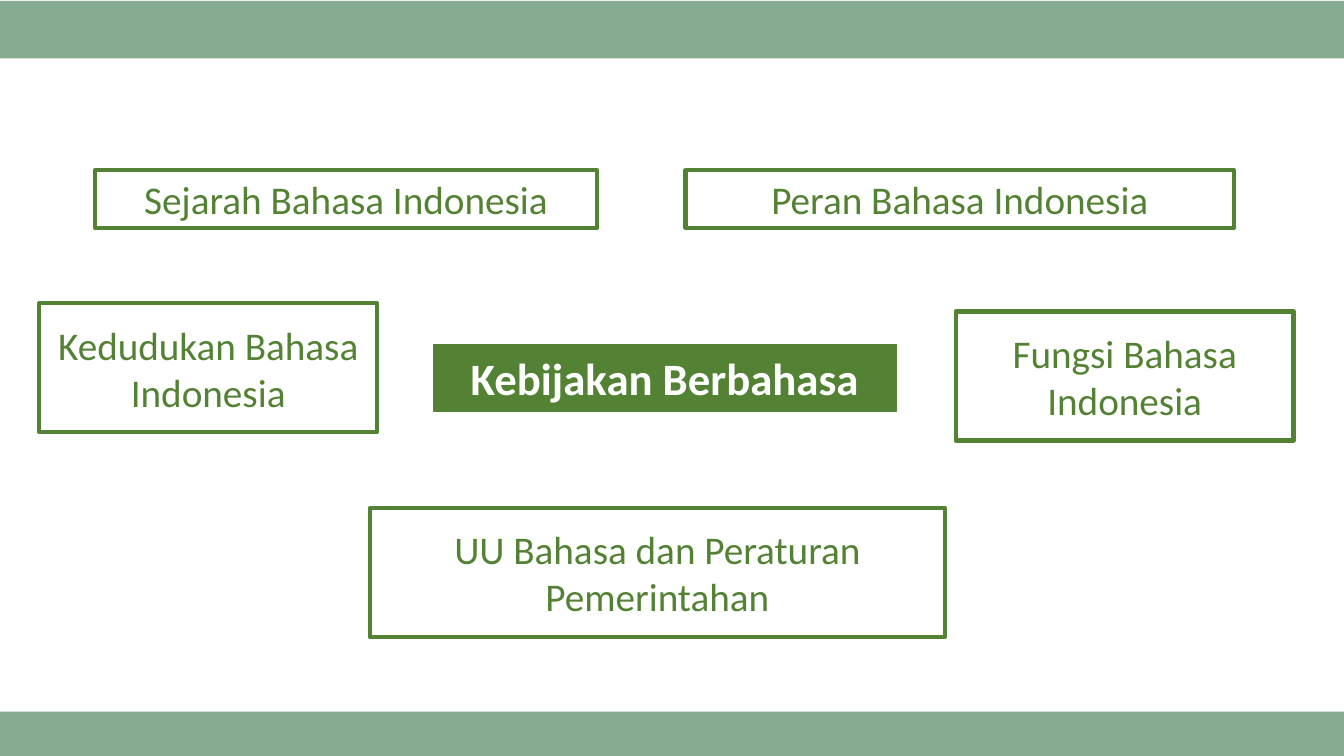
from pptx import Presentation
from pptx.dml.color import RGBColor
from pptx.enum.shapes import MSO_SHAPE
from pptx.enum.text import MSO_ANCHOR, PP_ALIGN
from pptx.util import Inches, Pt

RECTANGLE = MSO_SHAPE.RECTANGLE
MIDDLE = MSO_ANCHOR.MIDDLE
CENTER = PP_ALIGN.CENTER

GREEN = RGBColor(0x54, 0x82, 0x35)
SAGE = RGBColor(0x85, 0xAC, 0x91)
WHITE = RGBColor(0xFF, 0xFF, 0xFF)

SLIDE_WIDTH, SLIDE_HEIGHT = 13.33, 7.5
BAND_HEIGHT = 0.57
BAND_TOPS = (7.06, 0.01)

ROW_TOP = 1.69
LOW_HEIGHT, TALL_HEIGHT = 0.57, 1.28
SIDE_WIDTH = 3.35

CENTRAL_FORMAT = {"fill": GREEN, "line": 1, "color": WHITE,
                  "font": {"name": "Calibri", "size": Pt(32), "bold": True}}
TOPIC_FORMAT = {"fill": WHITE, "line": 3, "color": GREEN,
                "font": {"name": "Calibri", "size": Pt(28), "bold": False}}

CENTRAL_TOPIC = ("Kebijakan Berbahasa", (4.3, 3.42, 4.59, 0.66))
TOPICS = (
    ("Sejarah Bahasa Indonesia", (0.94, ROW_TOP, 4.98, LOW_HEIGHT)),
    ("Kedudukan Bahasa Indonesia", (0.39, 3.01, SIDE_WIDTH, TALL_HEIGHT)),
    ("Fungsi Bahasa Indonesia", (9.48, 3.09, SIDE_WIDTH, TALL_HEIGHT)),
    ("Peran Bahasa Indonesia", (6.8, ROW_TOP, 5.44, LOW_HEIGHT)),
    ("UU Bahasa dan Peraturan Pemerintahan", (3.67, 5.04, 5.7, TALL_HEIGHT)),
)


def add_rectangle(slide, box, fill):
    shape = slide.shapes.add_shape(RECTANGLE, *map(Inches, box))
    shape.shadow.inherit = False
    shape.fill.solid()
    shape.fill.fore_color.rgb = fill
    return shape


def add_topic(slide, text, box, style):
    shape = add_rectangle(slide, box, style["fill"])
    shape.line.color.rgb = GREEN
    shape.line.width = Pt(style["line"])
    frame = shape.text_frame
    frame.word_wrap = True
    frame.vertical_anchor = MIDDLE
    paragraph = frame.paragraphs[0]
    paragraph.alignment = CENTER
    run = paragraph.add_run()
    run.text = text
    for name, value in style["font"].items():
        setattr(run.font, name, value)
    run.font.color.rgb = style["color"]


def add_topic_map(slide):
    add_topic(slide, *CENTRAL_TOPIC, CENTRAL_FORMAT)
    for text, box in TOPICS:
        add_topic(slide, text, box, TOPIC_FORMAT)


def add_bands(slide):
    for top in BAND_TOPS:
        band = add_rectangle(slide, (0, top, SLIDE_WIDTH, BAND_HEIGHT), SAGE)
        band.line.fill.background()


def main():
    presentation = Presentation()
    presentation.slide_width = Inches(SLIDE_WIDTH)
    presentation.slide_height = Inches(SLIDE_HEIGHT)
    slide = presentation.slides.add_slide(presentation.slide_layouts[6])
    add_topic_map(slide)
    add_bands(slide)
    presentation.save("out.pptx")


if __name__ == "__main__":
    main()
